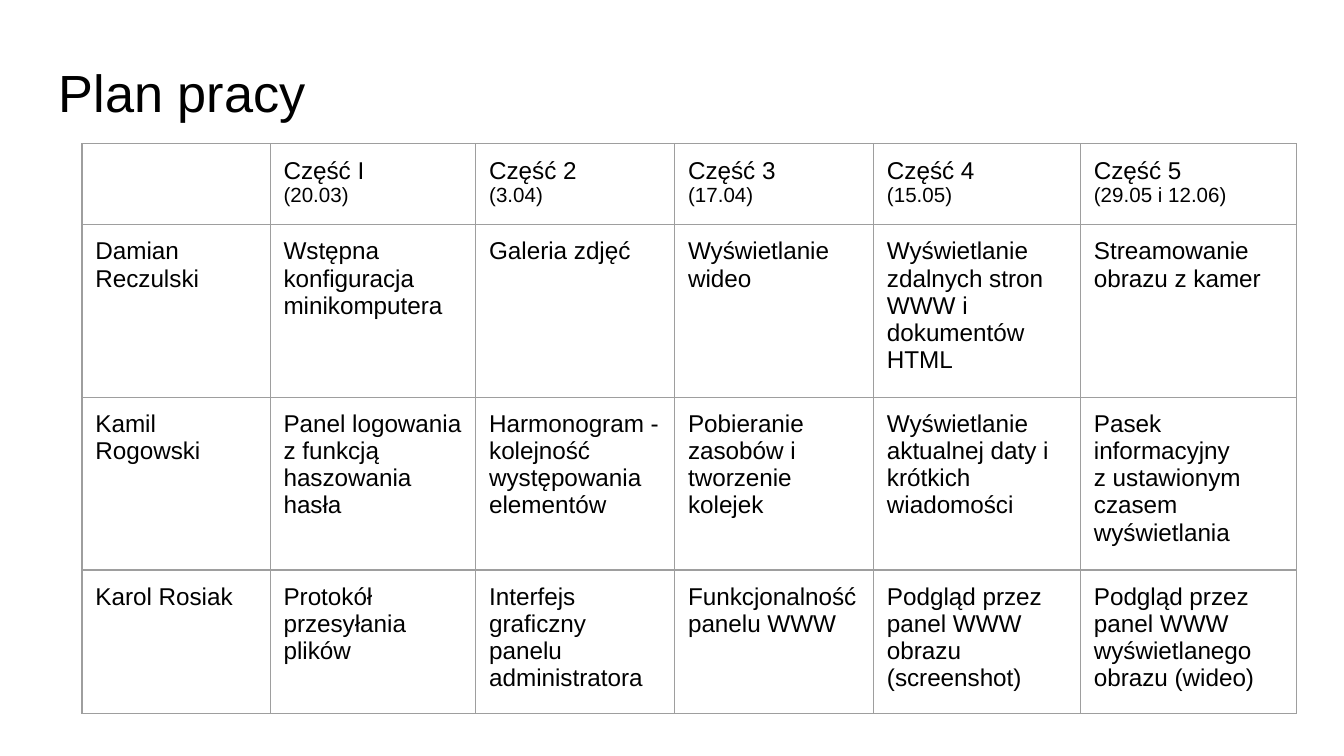
from lxml import etree
from pptx import Presentation
from pptx.dml.color import RGBColor
from pptx.oxml.ns import qn
from pptx.util import Inches, Pt

BLACK = RGBColor(0x00, 0x00, 0x00)
GREY = RGBColor(0x9E, 0x9E, 0x9E)
FONT = "Arial"
PAD = Inches(0.1)

TITLE = "Plan pracy"
# A line break inside a cell starts a new paragraph.
PLAN = [
    ["", "Część I\n(20.03)", "Część 2\n(3.04)", "Część 3\n(17.04)",
     "Część 4\n(15.05)", "Część 5\n(29.05 i 12.06)"],
    ["Damian Reczulski", "Wstępna konfiguracja minikomputera",
     "Galeria zdjęć", "Wyświetlanie wideo",
     "Wyświetlanie zdalnych stron WWW i dokumentów HTML",
     "Streamowanie obrazu z kamer"],
    ["Kamil Rogowski", "Panel logowania\nz funkcją haszowania hasła",
     "Harmonogram - kolejność występowania elementów",
     "Pobieranie zasobów i tworzenie kolejek",
     "Wyświetlanie aktualnej daty i krótkich wiadomości",
     "Pasek informacyjny\nz ustawionym czasem wyświetlania"],
    ["Karol Rosiak", "Protokół przesyłania plików",
     "Interfejs graficzny panelu administratora",
     "Funkcjonalność\npanelu WWW",
     "Podgląd przez panel WWW obrazu (screenshot)",
     "Podgląd przez panel WWW wyświetlanego obrazu (wideo)"],
]
WIDTHS = [1.4, 1.53, 1.48, 1.48, 1.54, 1.61]
ROW_H = 0.42  # least height; rows grow with their text


def style(para, size):
    para.font.name = FONT
    para.font.size = Pt(size)
    para.font.color.rgb = BLACK


def pad(box):
    box.margin_left = box.margin_right = PAD
    box.margin_top = box.margin_bottom = PAD


def outline(cell):
    """Draw a thin grey border on all four sides; call before the fill is set."""
    props = cell._tc.get_or_add_tcPr()
    for side in ("a:lnL", "a:lnR", "a:lnT", "a:lnB"):
        line = etree.SubElement(props, qn(side), w=str(Pt(0.75)))
        fill = etree.SubElement(line, qn("a:solidFill"))
        etree.SubElement(fill, qn("a:srgbClr"), val=str(GREY))


def add_title(slide):
    box = slide.shapes.add_textbox(
        Inches(0.34), Inches(0.35), Inches(9.32), Inches(0.63))
    frame = box.text_frame
    frame.word_wrap = True
    pad(frame)
    frame.text = TITLE
    style(frame.paragraphs[0], 28)


def add_plan(slide):
    table = slide.shapes.add_table(
        len(PLAN), len(WIDTHS), Inches(0.61), Inches(1.07),
        Inches(sum(WIDTHS)), Inches(ROW_H * len(PLAN))).table
    table.first_row = table.horz_banding = False
    for col, width in zip(table.columns, WIDTHS):
        col.width = Inches(width)

    for r, texts in enumerate(PLAN):
        for c, text in enumerate(texts):
            cell = table.cell(r, c)
            pad(cell)
            outline(cell)
            cell.fill.background()
            cell.text_frame.text = text
            for n, para in enumerate(cell.text_frame.paragraphs):
                is_date = r == 0 and n == 1
                style(para, 11 if is_date else 13)


def main():
    deck = Presentation()
    deck.slide_width = Inches(10)
    deck.slide_height = deck.slide_width * 9 // 16
    slide = deck.slides.add_slide(deck.slide_layouts[6])
    add_title(slide)
    add_plan(slide)
    deck.save("out.pptx")


if __name__ == "__main__":
    main()
